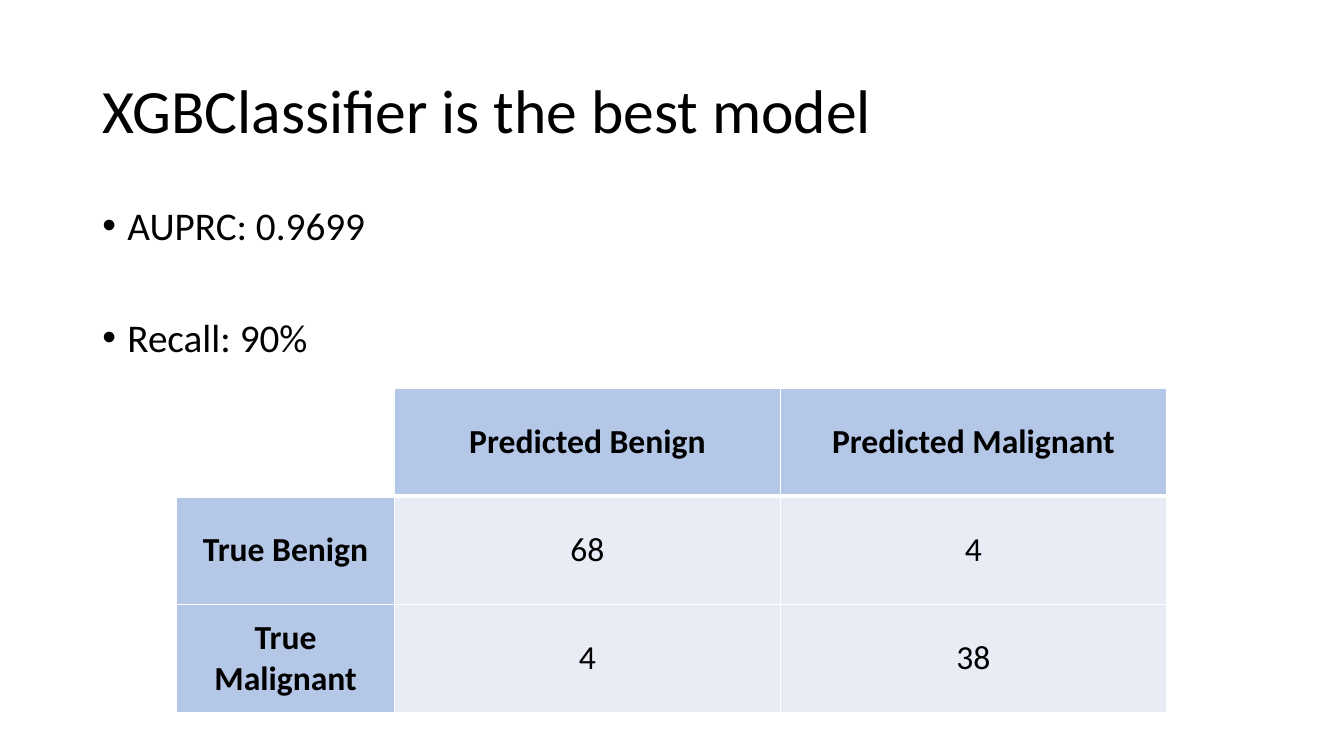
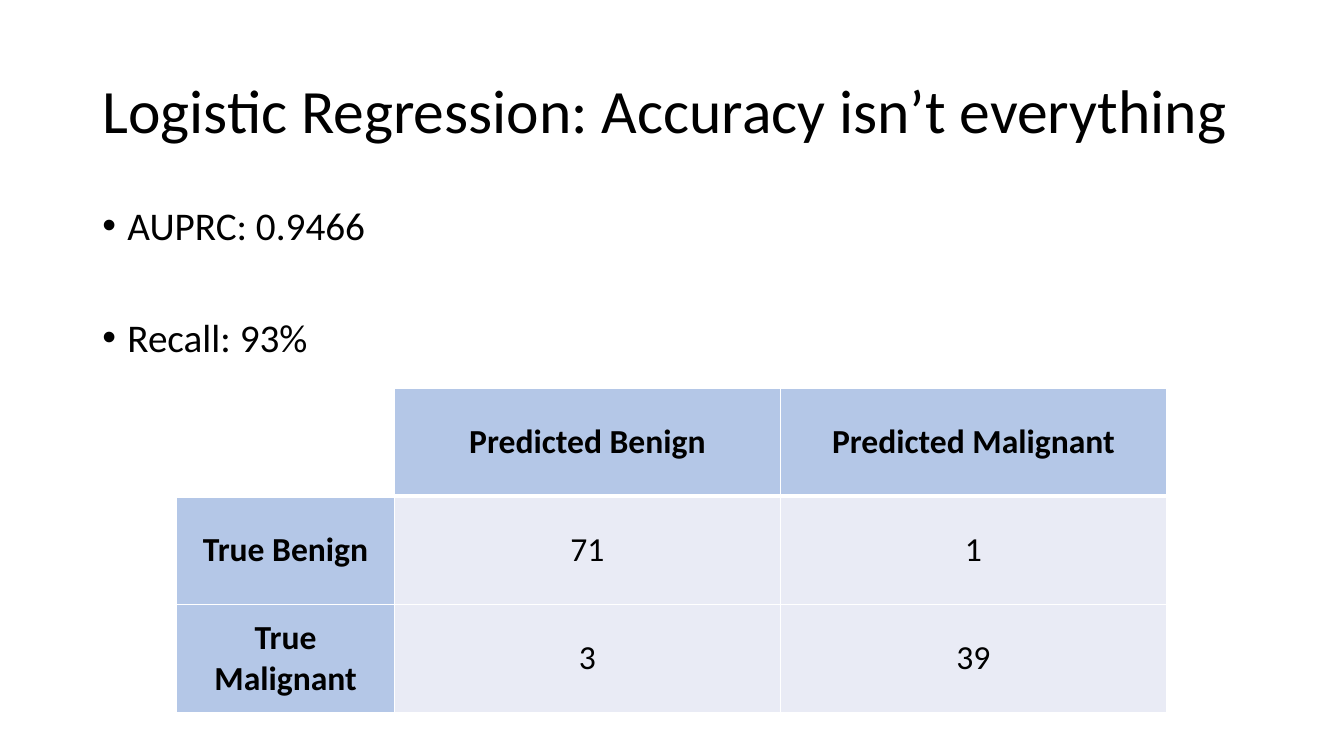
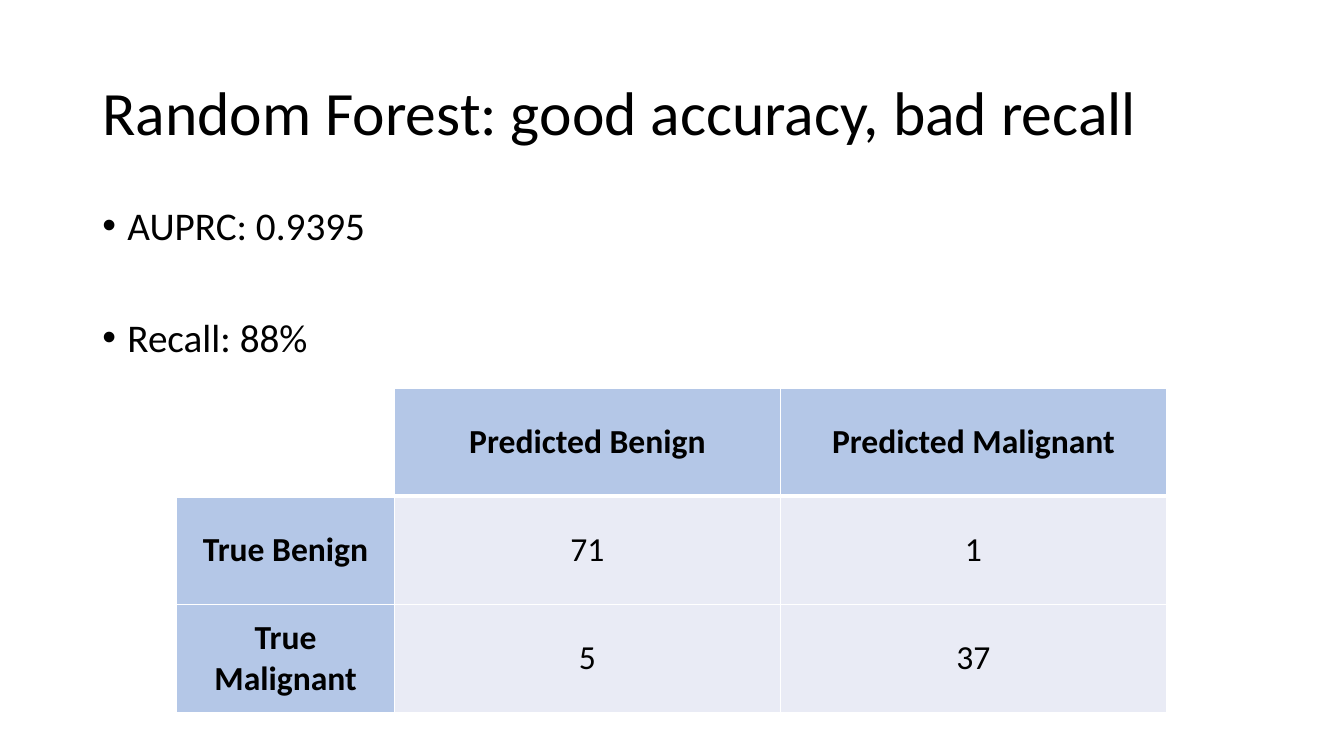
"""Build three slides that compare classifiers by their confusion matrices."""
from lxml import etree
from pptx import Presentation
from pptx.dml.color import RGBColor
from pptx.enum import text
from pptx.oxml import ns
from pptx.util import Pt

BLACK = RGBColor(0x00, 0x00, 0x00)
WHITE = RGBColor(0xFF, 0xFF, 0xFF)
HEADER = RGBColor(0xB4, 0xC7, 0xE7)
BODY = RGBColor(0xE9, 0xEB, 0xF5)
FONT = "Calibri"

BULLETS_BOX = (66, 144, 828, 343)
MATRIX_BOX = (126.25, 277.2, 707, 231.75)
LABEL_WIDTH = 155.5

MODELS = [
    ("XGBClassifier is the best model", 28.8, "0.9699", "90%", ((68, 4), (4, 38))),
    ("Logistic Regression: Accuracy isn’t everything", 28.8, "0.9466", "93%", ((71, 1), (3, 39))),
    ("Random Forest: good accuracy, bad recall", 30.25, "0.9395", "88%", ((71, 1), (5, 37))),
]


def add_text(p, content, size=28, bold=False, align=None, spacing=None, before=0):
    """Write formatted text into a paragraph."""
    p.alignment = align
    p.line_spacing = spacing
    p.space_before = Pt(before)
    r = p.add_run()
    r.text = content
    r.font.name = FONT
    r.font.size = Pt(size)
    r.font.bold = bold
    r.font.color.rgb = BLACK


def add_frame(slide, box, anchor):
    """Add a wrapping text box and return its text frame."""
    tf = slide.shapes.add_textbox(*map(Pt, box)).text_frame
    tf.word_wrap = True
    tf.vertical_anchor = anchor
    return tf


def add_bullet(p):
    """Give a paragraph a hanging round bullet."""
    pPr = p._p.get_or_add_pPr()
    pPr.set("marL", str(Pt(18)))
    pPr.set("indent", str(Pt(-18)))
    etree.SubElement(pPr, ns.qn("a:buFont")).set("typeface", "Arial")
    etree.SubElement(pPr, ns.qn("a:buChar")).set("char", "•")


def add_title(slide, box, title):
    """Place the slide title in its box."""
    tf = add_frame(slide, box, text.MSO_ANCHOR.MIDDLE)
    add_text(tf.paragraphs[0], title, size=44, spacing=0.9)


def add_scores(slide, box, scores):
    """Place the bulleted scores in their box."""
    tf = add_frame(slide, box, text.MSO_ANCHOR.TOP)
    for i, score in enumerate(scores):
        p = tf.add_paragraph() if i else tf.paragraphs[0]
        add_text(p, score, spacing=0.9, before=49.5 if i else 10)
        add_bullet(p)


def set_borders(cell, **widths):
    """Draw white cell borders with the given widths by side."""
    tcPr = cell._tc.get_or_add_tcPr()
    for side, width in widths.items():
        ln = etree.SubElement(tcPr, ns.qn("a:ln" + side), w=str(Pt(width)))
        fill = etree.SubElement(ln, ns.qn("a:solidFill"))
        etree.SubElement(fill, ns.qn("a:srgbClr"), val=str(WHITE))


def add_matrix(slide, box, counts):
    """Place the confusion matrix table in its box."""
    rows = [
        ("", "Predicted Benign", "Predicted Malignant"),
        ("True Benign", *counts[0]),
        ("True Malignant", *counts[1]),
    ]
    table = slide.shapes.add_table(3, 3, *map(Pt, box)).table
    table.first_row = table.horz_banding = False
    for i, column in enumerate(table.columns):
        column.width = Pt((box[2] - LABEL_WIDTH) / 2 if i else LABEL_WIDTH)
    for i, row in enumerate(rows):
        table.rows[i].height = Pt(box[3] / 3)
        for j, value in enumerate(row):
            cell = table.cell(i, j)
            set_borders(cell, L=1, R=1, T=3 if i == 1 else 1, B=3 if i == 0 else 1)
            if value == "":
                cell.fill.background()
                continue
            heading = i == 0 or j == 0
            cell.fill.solid()
            cell.fill.fore_color.rgb = HEADER if heading else BODY
            cell.vertical_anchor = text.MSO_ANCHOR.MIDDLE
            add_text(cell.text_frame.paragraphs[0], str(value), size=24,
                     bold=heading, align=text.PP_ALIGN.CENTER)


def add_model_slide(prs, title, title_top, auprc, recall, counts):
    """Add the slide for one model."""
    slide = prs.slides.add_slide(prs.slide_layouts[6])
    add_title(slide, (66, title_top, 828, 104.4), title)
    add_scores(slide, BULLETS_BOX, (f"AUPRC: {auprc}", f"Recall: {recall}"))
    add_matrix(slide, MATRIX_BOX, counts)


def main():
    """Build and save the presentation."""
    prs = Presentation()
    prs.slide_width, prs.slide_height = Pt(960), Pt(540)
    for model in MODELS:
        add_model_slide(prs, *model)
    prs.save("out.pptx")


if __name__ == "__main__":
    main()
